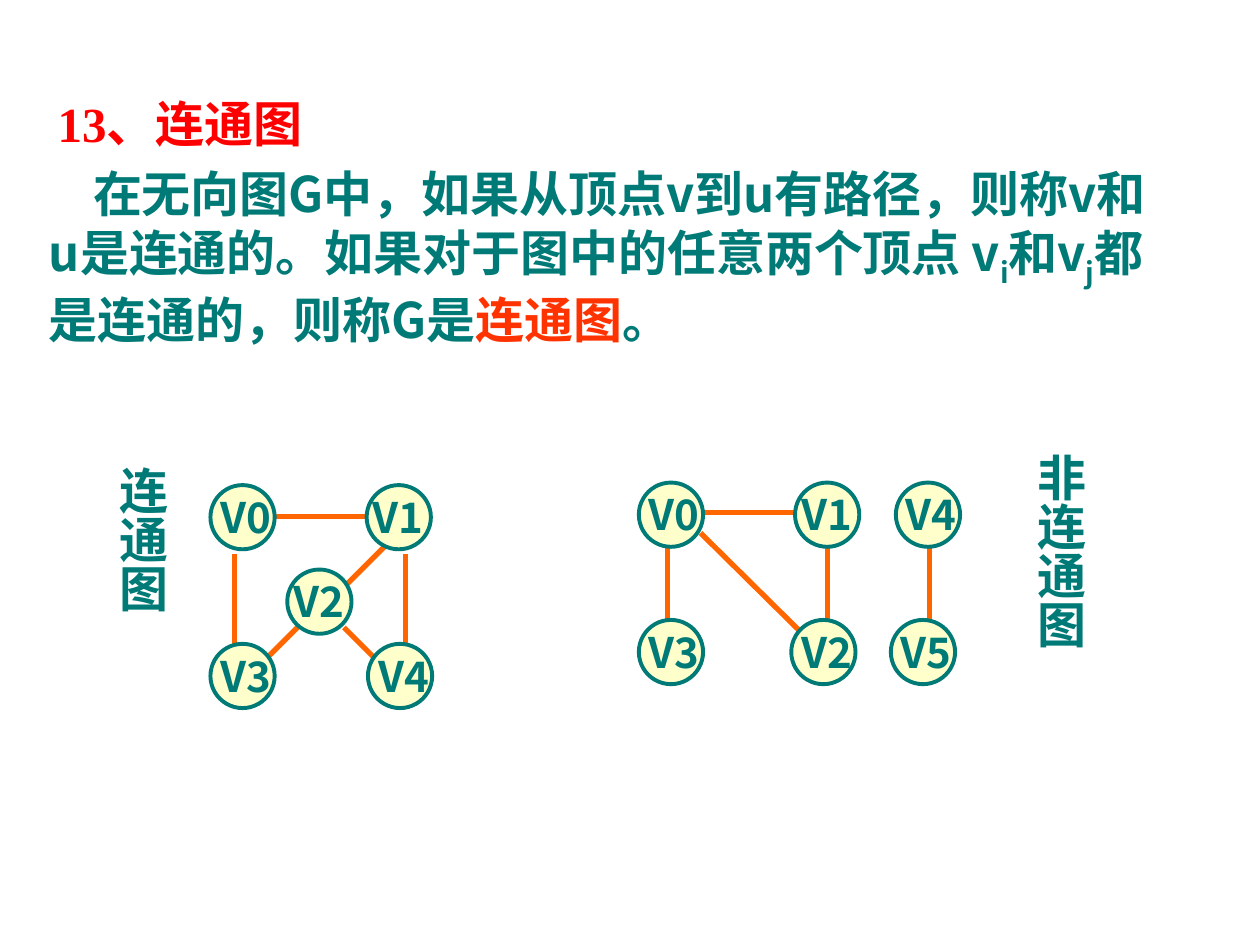
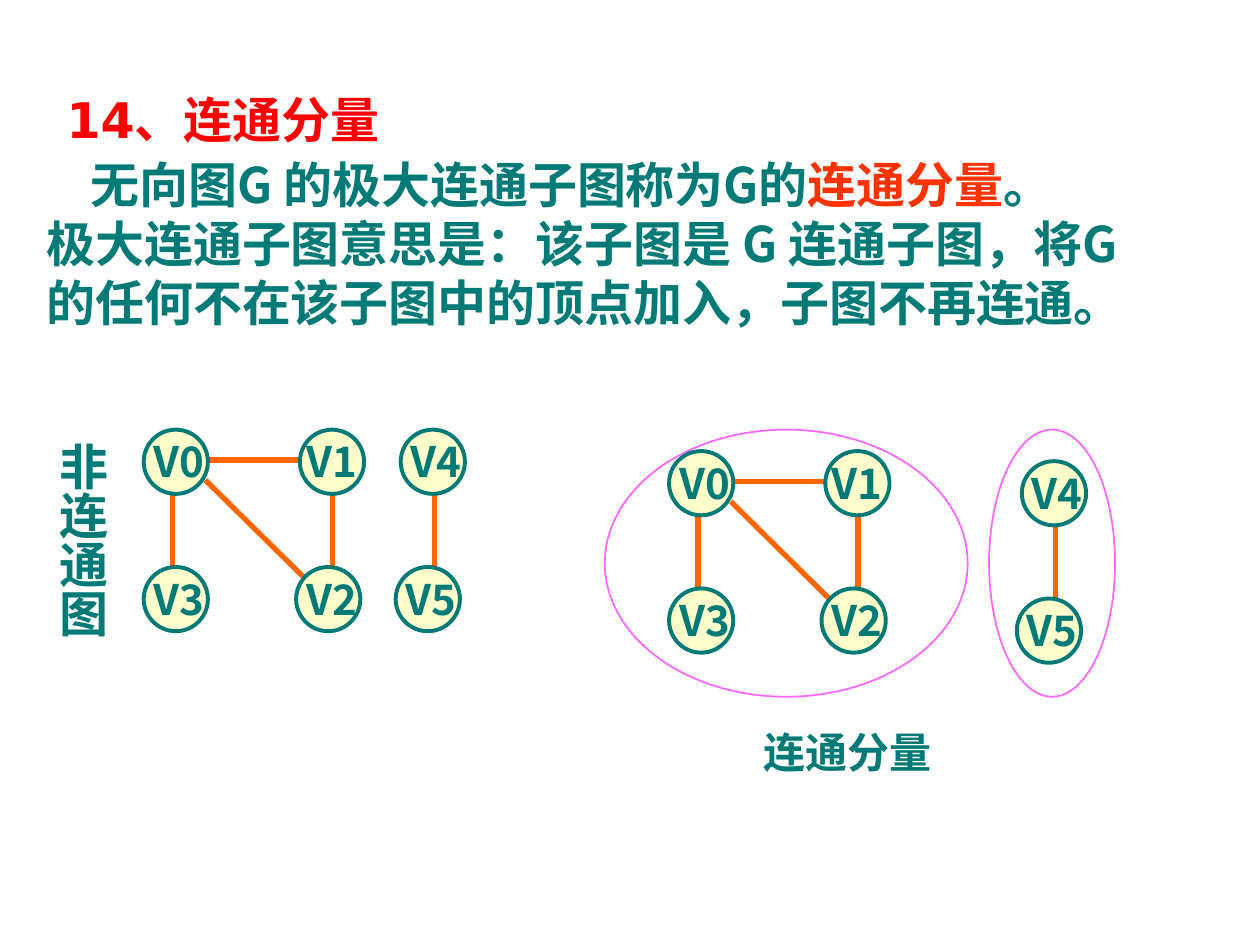
from dataclasses import dataclass

from lxml.etree import SubElement
from pptx import Presentation
from pptx.dml.color import RGBColor
from pptx.enum.shapes import MSO_CONNECTOR as Connector, MSO_SHAPE as Shape
from pptx.enum.text import MSO_ANCHOR as Anchor, MSO_AUTO_SIZE as AutoSize, PP_ALIGN as Align
from pptx.oxml.ns import qn
from pptx.util import Inches, Pt

TEAL = RGBColor(0x00, 0x7A, 0x77)
RED = RGBColor(0xFF, 0x00, 0x00)
SCARLET = RGBColor(0xFF, 0x33, 0x00)
ORANGE = RGBColor(0xFF, 0x66, 0x00)
CREAM = RGBColor(0xFF, 0xFF, 0xCC)
PINK = RGBColor(0xFF, 0x66, 0xFF)

CJK, SANS, SERIF, ARIAL = "Noto Sans CJK SC", "DejaVu Sans", "Times New Roman", "Arial"

# The slide is a grid of 100 columns and 75 rows of square cells
WIDTH, HEIGHT = Inches(10), Inches(7.5)
CELL = WIDTH // 100
NODE_SIZE = 5.1
FIRST_LINE_INDENT = 3.5


def cells(*counts):
    return [round(count * CELL) for count in counts]


@dataclass
class Box:
    left: float
    top: float
    width: float
    height: float

    def lengths(self):
        return cells(self.left, self.top, self.width, self.height)


@dataclass
class Span:
    text: str
    color: RGBColor = TEAL
    font: str = CJK
    subscript: bool = False


# A graph: nodes as (name, column, row, label shift), edges as (x1, y1, x2, y2),
# all counted from the corner of its first node
@dataclass
class Graph:
    nodes: list
    edges: list


CONNECTED = Graph(
    [("V0", 0, 0, -0.5), ("V1", 12.4, 0, -0.8), ("V2", 6.1, 6.7, -0.8),
     ("V3", 0, 12.6, -0.5), ("V4", 12.5, 12.6, -0.5)],
    [(1.9, 5.5, 1.9, 12.7), (4.9, 2.5, 13.2, 2.5), (15.5, 5.5, 15.5, 12.7),
     (7.3, 10.9, 4.3, 13.9), (13.8, 4.9, 10.8, 7.9), (10.6, 11.3, 13.2, 13.9)])
FOUR_NODES = Graph(
    [("V0", 0, 0, -0.5), ("V1", 12.4, 0, -0.8),
     ("V2", 12.1, 10.9, -0.5), ("V3", 0, 10.9, -0.5)],
    [(4.9, 4, 13.2, 12.2), (2.3, 5, 2.3, 11.4),
     (5, 2.4, 12.8, 2.4), (15, 5, 15, 11.4)])
TWO_NODES = Graph(
    [("V4", 0, 0, -0.5), ("V5", -0.4, 10.9, -0.5)],
    [(2.7, 4.6, 2.7, 11)])


# Text
def fill_para(para, spans, size):
    for span in spans:
        run = para.add_run()
        run.text = span.text
        run.font.size, run.font.bold, run.font.name = Pt(size), True, span.font
        run.font.color.rgb = span.color
        props = run._r.get_or_add_rPr()
        SubElement(props, qn("a:ea")).set("typeface", CJK)
        if span.subscript:
            props.set("baseline", "-25000")


def add_text(shapes, box, paras, size=28):
    frame = shapes.add_textbox(*box.lengths()).text_frame
    frame.word_wrap = True
    frame.auto_size = AutoSize.SHAPE_TO_FIT_TEXT
    for number, spans in enumerate(paras):
        para = frame.add_paragraph() if number else frame.paragraphs[0]
        fill_para(para, spans, size)
    return frame


def add_definition(page, box, paras):
    frame = add_text(page.shapes, box, paras)
    indent = cells(FIRST_LINE_INDENT)[0]
    frame.paragraphs[0]._p.get_or_add_pPr().set("indent", str(indent))


def add_vertical_label(page, box, text):
    frame = add_text(page.shapes, box, [[Span(text)]])
    frame.margin_left = frame.margin_right = Inches(0.05)
    frame.margin_top = frame.margin_bottom = Inches(0.1)
    frame.paragraphs[0].alignment = Align.CENTER
    frame._txBody.bodyPr.set("vert", "eaVert")


def add_caption(page, box, text):
    frame = add_text(page.shapes, box, [[Span(text, font=ARIAL)]], size=24)
    frame.word_wrap = False
    frame.vertical_anchor = Anchor.MIDDLE
    frame.paragraphs[0].alignment = Align.CENTER


# Graphs
def add_ellipse(shapes, box, line_color, line_width, fill_color=None):
    ellipse = shapes.add_shape(Shape.OVAL, *box.lengths())
    ellipse.shadow.inherit = False
    ellipse.line.color.rgb, ellipse.line.width = line_color, Pt(line_width)
    if fill_color is None:
        ellipse.fill.background()
    else:
        ellipse.fill.solid()
        ellipse.fill.fore_color.rgb = fill_color


def add_edge(shapes, ends):
    edge = shapes.add_connector(Connector.STRAIGHT, *cells(*ends))
    edge.line.color.rgb, edge.line.width = ORANGE, Pt(3)
    SubElement(edge._element.spPr, qn("a:effectLst"))


def add_node(shapes, left, top, name, label_shift):
    add_ellipse(shapes, Box(left, top, NODE_SIZE, NODE_SIZE), TEAL, 2.25, CREAM)
    label = add_text(shapes, Box(left + label_shift, top, 7.1, 5), [[Span(name)]], size=24)
    label.margin_left = Inches(0.13)


def add_graph(page, left, top, graph):
    shapes = page.shapes.add_group_shape().shapes
    for x1, y1, x2, y2 in graph.edges:
        add_edge(shapes, (left + x1, top + y1, left + x2, top + y2))
    for name, column, row, label_shift in graph.nodes:
        add_node(shapes, left + column, top + row, name, label_shift)


def add_disconnected_graph(page, left, top):
    add_graph(page, left, top, FOUR_NODES)
    add_graph(page, left + 20.4, top, TWO_NODES)


def add_component(page, ring, left, top, graph):
    add_ellipse(page.shapes, ring, PINK, 1)
    add_graph(page, ring.left + left, ring.top + top, graph)


# Slides
def build_connected_page(page):
    add_text(page.shapes, Box(3.6, 6.9, 57.6, 5.7),
             [[Span("13、", RED, SERIF), Span("连通图", RED, SANS)]])
    add_definition(page, Box(2.9, 12.5, 90.8, 15.7), [[
        Span("在无向图G中，如果从顶点v到u有路径，则称v和u是连通的。"
             "如果对于图中的任意两个顶点 v"),
        Span("i", subscript=True), Span("和v"), Span("j", subscript=True),
        Span("都是连通的，则称G是"), Span("连通图", SCARLET), Span("。")]])
    add_vertical_label(page, Box(7.5, 36, 6.6, 21.7), "连通图")
    add_graph(page, 16.7, 38.5, CONNECTED)
    add_disconnected_graph(page, 50.7, 38.3)
    add_vertical_label(page, Box(80.4, 35, 6.6, 21.7), "非连通图")


def build_component_page(page):
    add_text(page.shapes, Box(4.3, 6.6, 60, 5.7), [[Span("14、连通分量", RED, SANS)]])
    add_definition(page, Box(2.7, 11.8, 90, 19.7), [
        [Span("无向图G 的极大连通子图称为G的"), Span("连通分量", SCARLET), Span("。")],
        [Span("极大连通子图意思是：该子图是 G 连通子图，"
              "将G 的任何不在该子图中的顶点加入，子图不再连通。")]])
    add_vertical_label(page, Box(2.8, 34.1, 6.6, 20.8), "非连通图")
    add_disconnected_graph(page, 11.4, 34.1)
    add_component(page, Box(48, 34.1, 28.8, 21.2), 5.1, 1.7, FOUR_NODES)
    add_component(page, Box(78.5, 34.1, 10, 21.2), 2.6, 2.5, TWO_NODES)
    add_caption(page, Box(48.9, 56.4, 36.8, 6.5), "连通分量")


def main():
    deck = Presentation()
    deck.slide_width, deck.slide_height = WIDTH, HEIGHT
    for build in (build_connected_page, build_component_page):
        build(deck.slides.add_slide(deck.slide_layouts[6]))
    deck.save("out.pptx")


if __name__ == "__main__":
    main()
